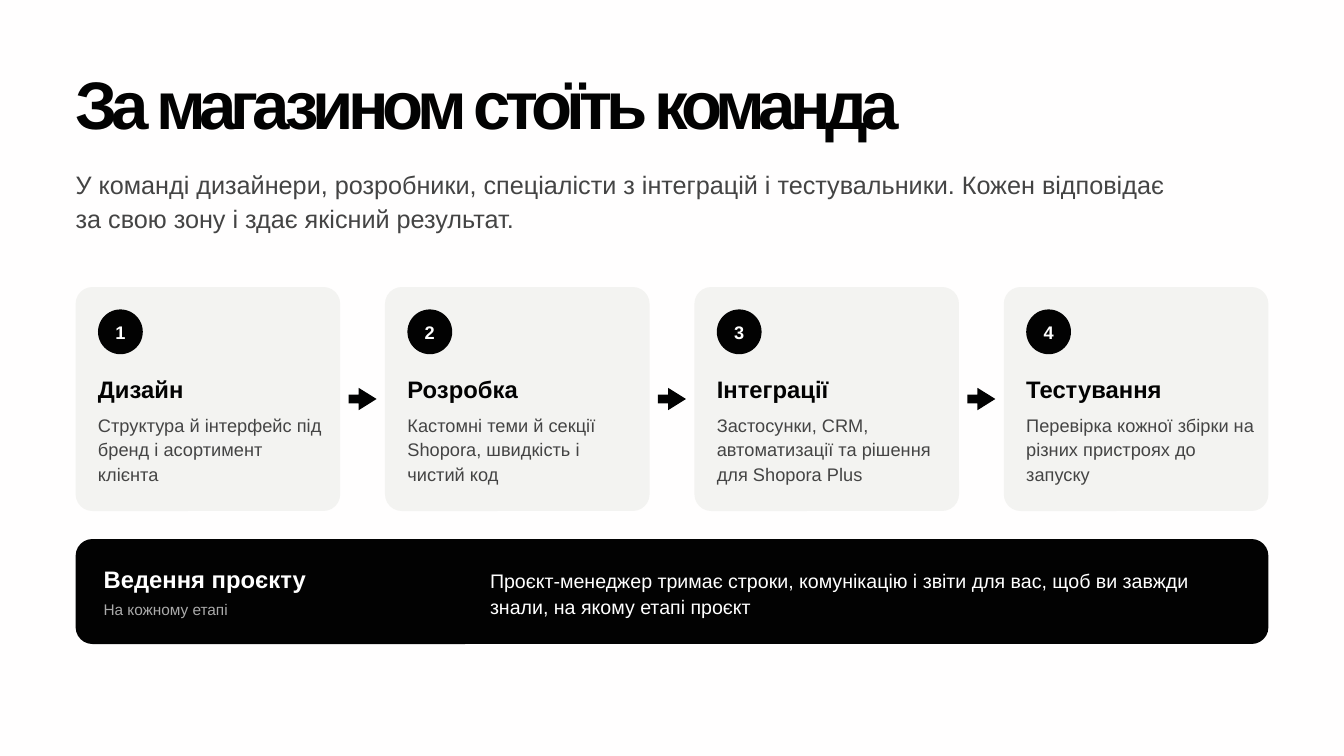
from pptx import Presentation
from pptx.dml.color import RGBColor
from pptx.enum.shapes import MSO_SHAPE
from pptx.enum.text import MSO_ANCHOR, MSO_AUTO_SIZE, PP_ALIGN
from pptx.util import Pt

ROUNDED, OVAL = MSO_SHAPE.ROUNDED_RECTANGLE, MSO_SHAPE.OVAL
ARROW = MSO_SHAPE.RIGHT_ARROW
TOP, MIDDLE = MSO_ANCHOR.TOP, MSO_ANCHOR.MIDDLE
LEFT, CENTER = PP_ALIGN.LEFT, PP_ALIGN.CENTER
NO_AUTOFIT = MSO_AUTO_SIZE.NONE

FONT = "Arial"
BACKGROUND, BLACK, WHITE = "FFFEFE", "020202", "FFFFFF"
CARD_FILL, GREY, LIGHT_GREY = "F3F3F1", "444444", "AAAAAA"

MARGIN, CONTENT_W = 81, 1278
CARD_W, CARD_H = 283.5, 240
STEPS = [
    ("Дизайн", "Структура й інтерфейс під бренд і асортимент клієнта"),
    ("Розробка", "Кастомні теми й секції Shopora, швидкість і чистий код"),
    ("Інтеграції", "Застосунки, CRM, автоматизації та рішення для Shopora Plus"),
    ("Тестування", "Перевірка кожної збірки на різних пристроях до запуску"),
]


def rgb(value):
    return RGBColor.from_string(value)


def place(sp, x, y, w, h):
    sp.left, sp.top, sp.width, sp.height = Pt(x), Pt(y), Pt(w), Pt(h)


def write(sp, text, size, spacing, color, bold=False, align=LEFT, anchor=TOP):
    tf = sp.text_frame
    tf.text = text
    tf.word_wrap = True
    tf.auto_size = NO_AUTOFIT
    tf.vertical_anchor = anchor
    tf.margin_left = tf.margin_right = tf.margin_top = tf.margin_bottom = 0
    p = tf.paragraphs[0]
    p.alignment = align
    p.line_spacing = Pt(spacing)
    p.space_before = Pt(0)
    font = p.runs[0].font
    font.name, font.size, font.bold = FONT, Pt(size), bold
    font.color.rgb = rgb(color)


def add_text(s, x, y, w, h, *args, **kwargs):
    sp = s.shapes.add_textbox(Pt(x), Pt(y), Pt(w), Pt(h))
    write(sp, *args, **kwargs)


def add_block(s, kind, x, y, w, h, fill, adjustments=()):
    sp = s.shapes.add_shape(kind, Pt(x), Pt(y), Pt(w), Pt(h))
    sp.shadow.inherit = False
    sp.fill.solid()
    sp.fill.fore_color.rgb = rgb(fill)
    sp.line.fill.background()
    for i, value in enumerate(adjustments):
        sp.adjustments[i] = value
    return sp


def add_header(s, x, y):
    title, subtitle = s.shapes.title, s.placeholders[1]
    place(title, x, y, 1287, 72)
    write(title, "За магазином стоїть команда", 72, 72, BLACK, bold=True)
    # Tight tracking, in hundredths of a point
    title.text_frame.paragraphs[0].runs[0].font._element.set("spc", "-630")
    place(subtitle, x, y + 96, 1179, 73)
    write(subtitle, "У команді дизайнери, розробники, спеціалісти з інтеграцій "
          "і тестувальники. Кожен відповідає за свою зону і здає якісний "
          "результат.", 27, 36.5, GREY)


def add_card(s, x, y, number, name, description):
    add_block(s, ROUNDED, x, y, CARD_W, CARD_H, CARD_FILL, [0.075])
    badge = add_block(s, OVAL, x + 24, y + 24, 48, 48, BLACK)
    write(badge, str(number), 19.5, 23.4, WHITE, True, CENTER, MIDDLE)
    add_text(s, x + 24, y + 93, 249, 31.5, name, 25.5, 31.5, BLACK, bold=True)
    add_text(s, x + 24, y + 133.5, 245, 78.5, description, 19.5, 26.2, GREY)


def add_steps(s, x, y, w):
    pitch = (w - CARD_W) / (len(STEPS) - 1)
    gap = pitch - CARD_W
    for i, (name, description) in enumerate(STEPS):
        left = x + i * pitch
        add_card(s, left, y, i + 1, name, description)
        # Arrow centred in the gap before each later card
        if i:
            add_block(s, ARROW, left - (gap + 30) / 2, y + (CARD_H - 24) / 2,
                      30, 24, BLACK, [0.4, 0.8])


def add_management_bar(s, x, y, w, h):
    add_block(s, ROUNDED, x, y, w, h, BLACK, [0.16])
    add_text(s, x + 30, y + 27, 399, 31.5, "Ведення проєкту",
             25.5, 31.5, WHITE, bold=True)
    add_text(s, x + 30, y + 64.5, 399, 21, "На кожному етапі",
             16.5, 21, LIGHT_GREY)
    add_text(s, x + 444, y + 28.5, 813, 57,
             "Проєкт-менеджер тримає строки, комунікацію і звіти для вас, "
             "щоб ви завжди знали, на якому етапі проєкт", 21, 28.5, WHITE)


def main():
    prs = Presentation()
    prs.slide_width, prs.slide_height = Pt(1440), Pt(810)
    s = prs.slides.add_slide(prs.slide_layouts[0])
    s.background.fill.solid()
    s.background.fill.fore_color.rgb = rgb(BACKGROUND)
    add_header(s, MARGIN, 81)
    add_steps(s, MARGIN, 307.5, CONTENT_W)
    add_management_bar(s, MARGIN, 577.5, CONTENT_W, 112.5)
    prs.save("out.pptx")


if __name__ == "__main__":
    main()
